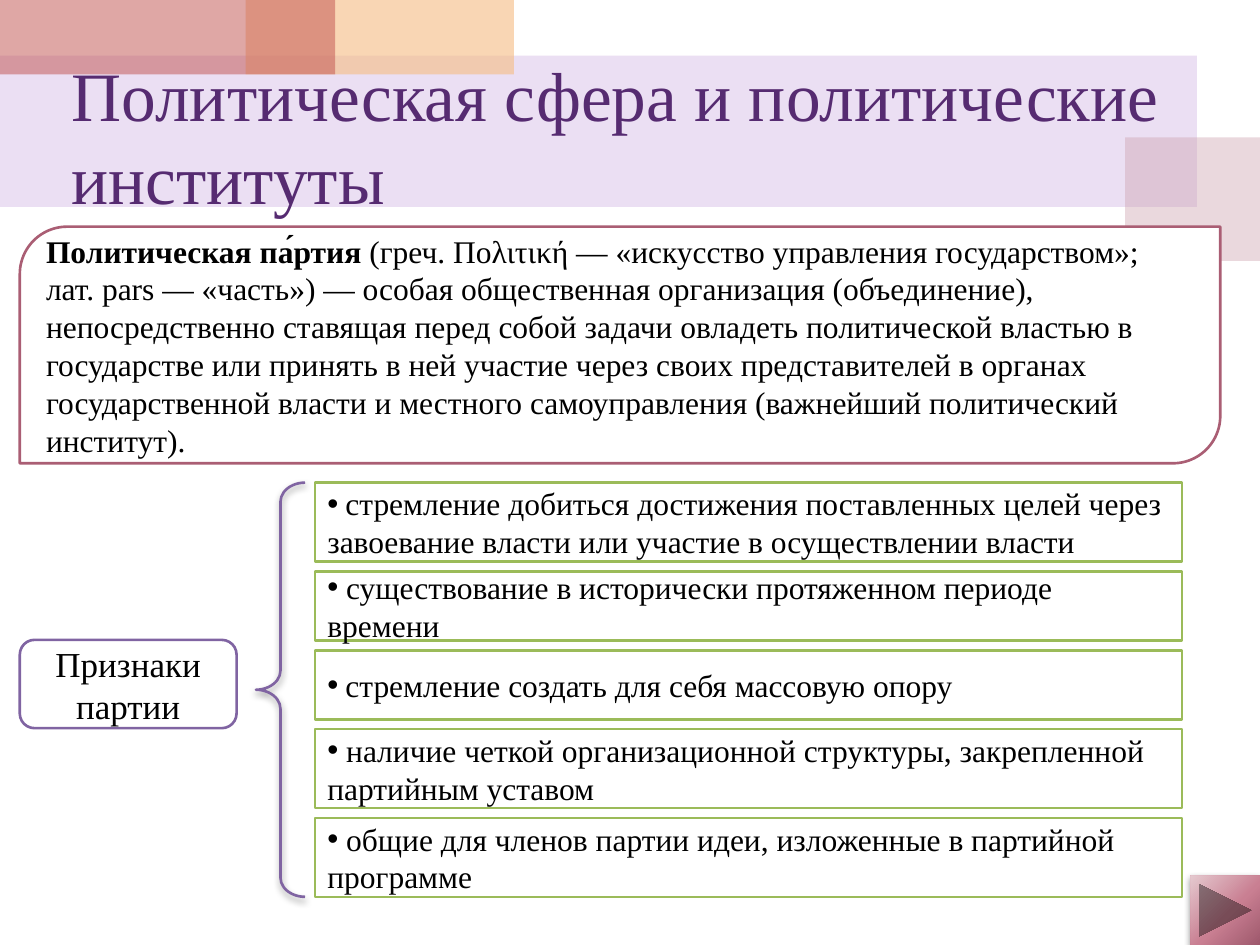
import pptx
import pptx.util
import pptx.dml.color
import pptx.enum.shapes
import pptx.enum.text
import pptx.oxml
import pptx.oxml.ns

Cm = pptx.util.Cm
Pt = pptx.util.Pt
kinds = pptx.enum.shapes.MSO_SHAPE
namespace = pptx.oxml.ns.nsdecls("a")


def colour(code):
    return pptx.dml.color.RGBColor.from_string(code)


def write(para, text, size=18, font="Times New Roman", ink="000000", bold=False):
    span = para.add_run()
    span.text = text
    span.font.size = Pt(size)
    span.font.name = font
    span.font.bold = bold
    span.font.color.rgb = colour(ink)


deck = pptx.Presentation()
deck.slide_width = Cm(25.4)
deck.slide_height = Cm(19.05)
page = deck.slides.add_slide(deck.slide_layouts[5])
shapes = page.shapes

banners = [
    (0, 1.12, 24.13, 3.05, "BF98D8", 30),
    (22.68, 2.77, 2.72, 2.49, "CC9EAC", 40),
    (4.95, 0, 5.41, 1.5, "F5BC83", 60),
    (0, 0, 6.76, 1.5, "C0504D", 50),
]
for left, top, width, height, fill, opacity in banners:
    banner = shapes.add_shape(kinds.RECTANGLE, Cm(left), Cm(top), Cm(width), Cm(height))
    banner.shadow.inherit = False
    banner.line.fill.background()
    banner.fill.solid()
    banner.fill.fore_color.rgb = colour(fill)
    tint = banner.element.spPr.find(".//" + pptx.oxml.ns.qn("a:srgbClr"))
    tint.append(pptx.oxml.parse_xml(f'<a:alpha {namespace} val="{opacity * 1000}"/>'))

title = shapes.title
shapes.element.append(title.element)
title.left, title.top, title.width, title.height = Cm(1.19), Cm(1.4), Cm(22.86), Cm(2.67)
title.text_frame.word_wrap = True
title.text_frame.vertical_anchor = pptx.enum.text.MSO_ANCHOR.MIDDLE
title_para = title.text_frame.paragraphs[0]
title_para.alignment = pptx.enum.text.PP_ALIGN.LEFT
write(title_para, "Политическая сфера и политические институты", size=39.6, ink="562B71")

definition = [
    ("Политическая па́ртия ", {"bold": True}),
    ("(греч. Πολιτική — «искусство управления государством»; лат. pars — «часть») — "
     "особая общественная организация (объединение), непосредственно ставящая перед собой "
     "задачи овладеть политической властью в государстве или принять в ней участие через "
     "своих представителей в органах государственной власти и местного самоуправления "
     "(важнейший политический институт).", {}),
]
boxes = [
    (kinds.ROUND_2_DIAG_RECTANGLE, 0.4, 4.57, 24.2, 4.77, "AA5E74", definition),
    (kinds.FLOWCHART_ALTERNATE_PROCESS, 0.4, 12.9, 4.37, 1.78, "8064A2",
     [("Признаки партии", {"size": 20})]),
]

cabin_space = (" ", {"font": "Cabin"})
features = [
    (1.59, [cabin_space, ("стремление добиться достижения поставленных целей через "
                          "завоевание власти или участие в осуществлении власти", {})]),
    (1.39, [(" существование в исторически протяженном периоде времени", {})]),
    (1.39, [cabin_space, ("стремление создать для себя массовую опору", {})]),
    (1.59, [(" наличие четкой организационной структуры, закрепленной партийным уставом", {})]),
    (1.59, [(" общие для членов партии идеи, изложенные в партийной программе", {})]),
]
features_top = 9.73
feature_gap = 0.2
top = features_top
for height, spans in features:
    boxes.append((kinds.FLOWCHART_PROCESS, 6.35, top, 17.48, height, "9BBB59", spans))
    top += height + feature_gap
features_height = top - feature_gap - features_top

for kind, left, top, width, height, outline, spans in boxes:
    box = shapes.add_shape(kind, Cm(left), Cm(top), Cm(width), Cm(height))
    box.shadow.inherit = False
    box.fill.solid()
    box.fill.fore_color.rgb = colour("FFFFFF")
    box.line.color.rgb = colour(outline)
    box.line.width = Pt(1.5)
    box.text_frame.word_wrap = True
    box.text_frame.vertical_anchor = pptx.enum.text.MSO_ANCHOR.MIDDLE
    para = box.text_frame.paragraphs[0]
    para.alignment = pptx.enum.text.PP_ALIGN.LEFT
    if kind == kinds.ROUND_2_DIAG_RECTANGLE:
        box.adjustments[0] = 0.2
    elif kind == kinds.FLOWCHART_ALTERNATE_PROCESS:
        para.alignment = pptx.enum.text.PP_ALIGN.CENTER
    else:
        properties = para._p.get_or_add_pPr()
        properties.append(pptx.oxml.parse_xml(f'<a:buFont {namespace} typeface="Arial"/>'))
        properties.append(pptx.oxml.parse_xml(f'<a:buChar {namespace} char="•"/>'))
    for text, style in spans:
        write(para, text, **style)

brace = shapes.add_shape(
    kinds.LEFT_BRACE, Cm(5.16), Cm(features_top), Cm(0.99), Cm(features_height))
brace.adjustments[0] = 0.39
brace.adjustments[1] = 0.5
brace.fill.background()
brace.line.color.rgb = colour("8064A2")
brace.line.width = Pt(1.5)

button = shapes.add_shape(
    kinds.ACTION_BUTTON_FORWARD_OR_NEXT, Cm(24), Cm(17.65), Cm(1.4), Cm(1.4))
button.line.fill.background()
stops = "".join(
    f'<a:gs pos="{place * 1000}"><a:srgbClr val="{code}"/></a:gs>'
    for place, code in [(0, "E5C9CF"), (55, "C97F92"), (100, "9E586C")])
gradient = pptx.oxml.parse_xml(
    f'<a:gradFill {namespace} rotWithShape="1"><a:gsLst>{stops}</a:gsLst><a:path path="circle">'
    '<a:fillToRect l="-40000" t="-90000" r="140000" b="190000"/></a:path></a:gradFill>')
button.element.spPr.find(pptx.oxml.ns.qn("a:prstGeom")).addnext(gradient)

for shape, opacity in [(brace, 40), (button, 45)]:
    shape.element.spPr.append(pptx.oxml.parse_xml(
        f'<a:effectLst {namespace}><a:outerShdw blurRad="{Pt(4)}" dist="{Pt(2)}" dir="5400000" '
        f'rotWithShape="0"><a:srgbClr val="000000"><a:alpha val="{opacity * 1000}"/>'
        '</a:srgbClr></a:outerShdw></a:effectLst>'))

deck.save("out.pptx")
